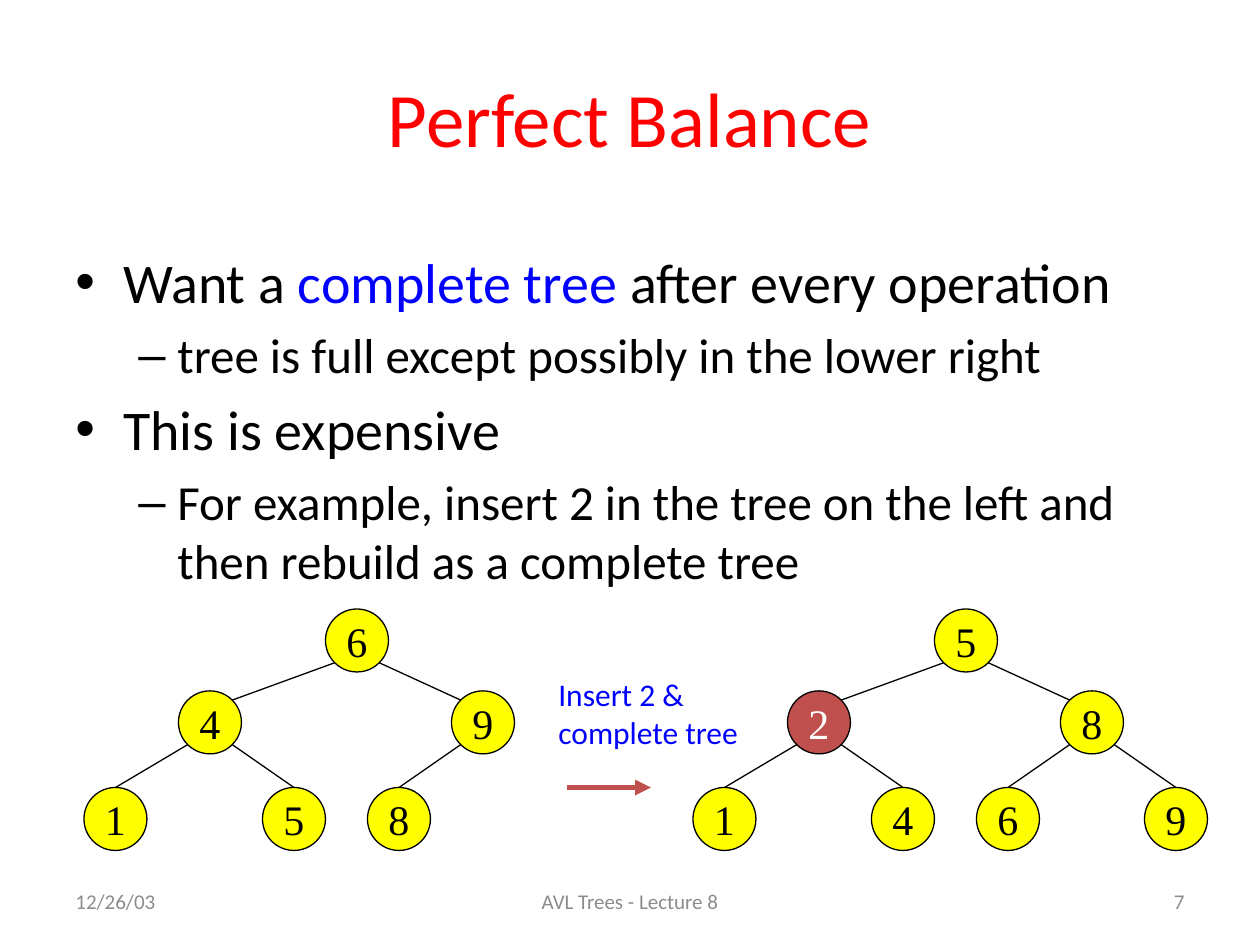
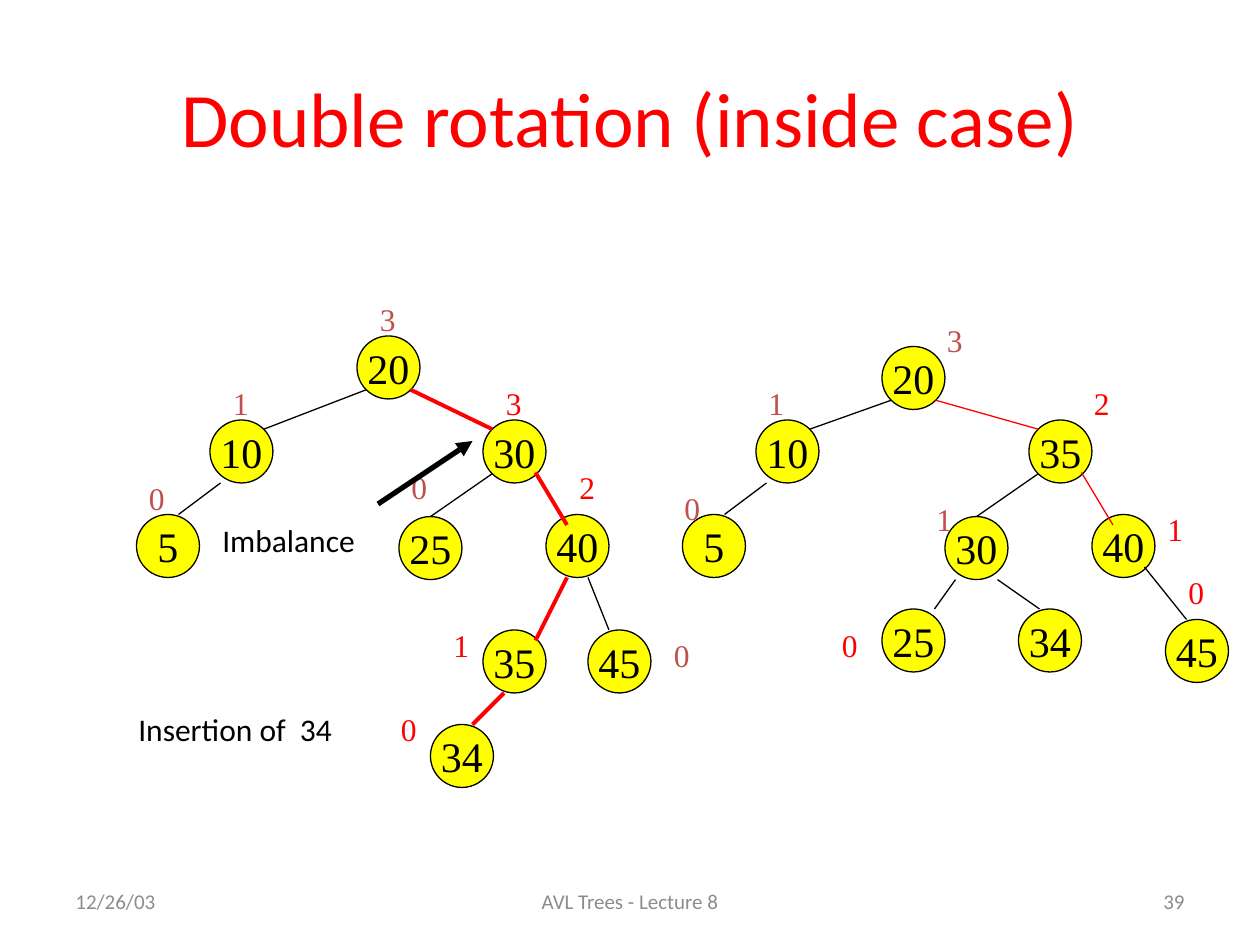
from lxml import etree
from pptx import Presentation
from pptx.dml.color import RGBColor
from pptx.enum.shapes import MSO_CONNECTOR, MSO_SHAPE
from pptx.enum.text import MSO_ANCHOR, PP_ALIGN
from pptx.oxml.ns import qn
from pptx.util import Inches, Pt

ELLIPSE = MSO_SHAPE.OVAL
STRAIGHT = MSO_CONNECTOR.STRAIGHT
TOP, MIDDLE = MSO_ANCHOR.TOP, MSO_ANCHOR.MIDDLE
LEFT, CENTER, RIGHT = PP_ALIGN.LEFT, PP_ALIGN.CENTER, PP_ALIGN.RIGHT

BLACK, WHITE, GRAY = "000000", "FFFFFF", "8C8C8C"
RED, BLUE, YELLOW, BRICK = "FF0000", "0000FF", "FFFF00", "C0504D"
SANS, SERIF = "Calibri", "Times New Roman"

COLUMNS, ROWS = 120, 90
CELL = Inches(10) // COLUMNS
NODE = 6
NW, NE, SW, SE = (0.88, 0.88), (5.12, 0.88), (0.88, 5.12), (5.12, 5.12)
NORTH = (3, 0)
THIN, BOLD, THICK = 0.75, 2.25, 3
BULLETS = [("•", 32, 0.38, 0.38), ("–", 28, 0.81, 0.31)]


def color(value):
    return RGBColor.from_string(value)


def cells(*counts):
    return [round(count * CELL) for count in counts]


def write(shape, paragraphs, size=18, ink=BLACK, font=SANS, align=LEFT, anchor=TOP, wrap=True):
    frame = shape.text_frame
    frame.word_wrap = wrap
    frame.vertical_anchor = anchor
    for index, spans in enumerate(paragraphs):
        para = frame.paragraphs[0] if index == 0 else frame.add_paragraph()
        para.alignment = align
        for text, span_ink in [(spans, ink)] if isinstance(spans, str) else spans:
            span = para.add_run()
            span.text = text
            span.font.name = font
            span.font.size = Pt(size)
            span.font.color.rgb = color(span_ink)
    return frame.paragraphs


def add_text(page, area, *paragraphs, **style):
    box = page.shapes.add_textbox(*cells(*area))
    return write(box, paragraphs, **style)


def add_bullets(page, area, items):
    paras = add_text(page, area, *[spans for _, spans in items])
    for index, (para, (level, _)) in enumerate(zip(paras, items)):
        mark, size, margin, hanging = BULLETS[level]
        para.level = level
        if index:
            para.space_before = Pt(size * 0.2)
        for span in para.runs:
            span.font.size = Pt(size)
        properties = para._p.get_or_add_pPr()
        properties.set("marL", str(Inches(margin)))
        properties.set("indent", str(-Inches(hanging)))
        etree.SubElement(properties, qn("a:buFont"), typeface="Arial")
        etree.SubElement(properties, qn("a:buChar"), char=mark)


def add_line(page, start, end, ink=BLACK, width=THIN, arrow=False):
    line = page.shapes.add_connector(STRAIGHT, *cells(*start, *end))
    line.line.color.rgb = color(ink)
    line.line.width = Pt(width)
    if arrow:
        etree.SubElement(line.line._get_or_add_ln(), qn("a:tailEnd"), type="triangle")
    etree.SubElement(line._element.spPr, qn("a:effectLst"))


def add_node(page, key, left, top, fill=YELLOW, ink=BLACK):
    node = page.shapes.add_shape(ELLIPSE, *cells(left, top, NODE, NODE))
    node.shadow.inherit = False
    node.fill.solid()
    node.fill.fore_color.rgb = color(fill)
    node.line.color.rgb = color(BLACK)
    node.line.width = Pt(THIN)
    write(node, [str(key)], size=24, ink=ink, font=SERIF, align=CENTER, anchor=MIDDLE, wrap=False)


def add_tree(page, places, edges, marked=None):
    for key, (left, top) in places.items():
        fill, ink = (BRICK, WHITE) if key == marked else (YELLOW, BLACK)
        add_node(page, key, left, top, fill, ink)
    for parent, child, leave, arrive, *style in edges:
        start = [place + offset for place, offset in zip(places[parent], leave)]
        end = [place + offset for place, offset in zip(places[child], arrive)]
        add_line(page, start, end, *style)


def add_heights(page, ink, heights):
    for height, left, top in heights:
        add_text(page, (left, top, 4.1, 5.2), str(height), ink=ink, font=SERIF)


def add_page(deck, title, number):
    page = deck.slides.add_slide(deck.slide_layouts[6])
    add_text(page, (6, 3.6, 108, 15), title, size=44, ink=RED, align=CENTER, anchor=MIDDLE)
    footers = [("12/26/03", 6, 28, LEFT), ("AVL Trees - Lecture 8", 41, 38, CENTER),
               (str(number), 86, 28, RIGHT)]
    for text, left, width, align in footers:
        add_text(page, (left, 83.4, width, 4.8), text, size=12, ink=GRAY, align=align, anchor=MIDDLE)
    return page


def add_complete_tree(page, left, keys, marked=None):
    spots = [(23, 58), (9, 65.8), (35, 65.8), (0, 75), (17, 75), (27, 75), (43, 75)]
    places = {key: (left + column, row) for key, (column, row) in zip(keys, spots)}
    edges = []
    for index in range(1, len(keys)):
        is_left = index % 2 == 1
        arrive = NORTH if index > 2 else NE if is_left else NW
        edges.append((keys[(index - 1) // 2], keys[index], SW if is_left else SE, arrive))
    add_tree(page, places, edges, marked)


def build_perfect_balance(deck):
    page = add_page(deck, "Perfect Balance", 7)
    add_bullets(page, (6, 23, 111, 36), [
        (0, [("Want a ", BLACK), ("complete tree", BLUE), (" after every operation", BLACK)]),
        (1, "tree is full except possibly in the lower right"),
        (0, "This is expensive"),
        (1, "For example, insert 2 in the tree on the left and then rebuild as a complete tree"),
    ])
    add_text(page, (52, 63.7, 22.6, 9.2), "Insert 2 &", "complete tree", ink=BLUE)
    add_complete_tree(page, 8, [6, 4, 9, 1, 5, 8])
    add_complete_tree(page, 66, [5, 2, 8, 1, 4, 6, 9], marked=2)
    add_line(page, (54, 75), (62, 75), BRICK, THICK, arrow=True)


def build_double_rotation(deck):
    page = add_page(deck, "Double rotation (inside case)", 39)
    before = {20: (34, 32), 10: (20, 40), 30: (46, 40), 5: (13, 49), 25: (38, 49.2),
              40: (52, 49), 35: (46, 60), 45: (56, 60), 34: (41, 69)}
    add_tree(page, before, [
        (20, 10, SW, NE),
        (20, 30, SE, NW, RED, BOLD),
        (10, 5, (1, 6), (4, 0)),
        (30, 25, SW, NORTH),
        (30, 40, (5, 5), (2, 1), RED, BOLD),
        (40, 35, (2, 6), (5, 1), RED, BOLD),
        (40, 45, (4, 6), (2, 0)),
        (35, 34, (2, 6), (4, 0), RED, BOLD),
    ])
    after = {20: (84, 33), 10: (72, 40), 35: (98, 40), 5: (65, 49), 30: (90, 49.2),
             40: (104, 49), 25: (84, 58), 34: (97, 58), 45: (111, 59)}
    add_tree(page, after, [
        (20, 10, SW, NE),
        (20, 35, SE, NW, RED),
        (10, 5, (1, 6), (4, 0)),
        (35, 30, SW, NORTH),
        (35, 40, (5, 5), (2, 1), RED),
        (30, 25, (1, 6), (5, 0)),
        (30, 34, (5, 6), (2, 0)),
        (40, 45, (5, 5), (2, 0)),
    ])
    add_heights(page, BRICK, [(3, 35, 28), (1, 21, 36), (0, 13, 45), (0, 38, 44), (0, 63, 60),
                              (3, 89, 30), (1, 72, 36), (0, 64, 46), (1, 88, 47)])
    add_heights(page, RED, [(3, 47, 36), (2, 54, 44), (1, 42, 59), (0, 37, 67),
                            (2, 103, 36), (1, 110, 48), (0, 112, 54), (0, 79, 59)])
    add_text(page, (20, 49, 18, 5.2), "Imbalance")
    add_text(page, (12, 67, 25, 5.2), "Insertion of  34")
    add_line(page, (36, 48), (45, 42), BLACK, THICK, arrow=True)


def main():
    deck = Presentation()
    deck.slide_width, deck.slide_height = cells(COLUMNS, ROWS)
    build_perfect_balance(deck)
    build_double_rotation(deck)
    deck.save("out.pptx")


if __name__ == "__main__":
    main()
